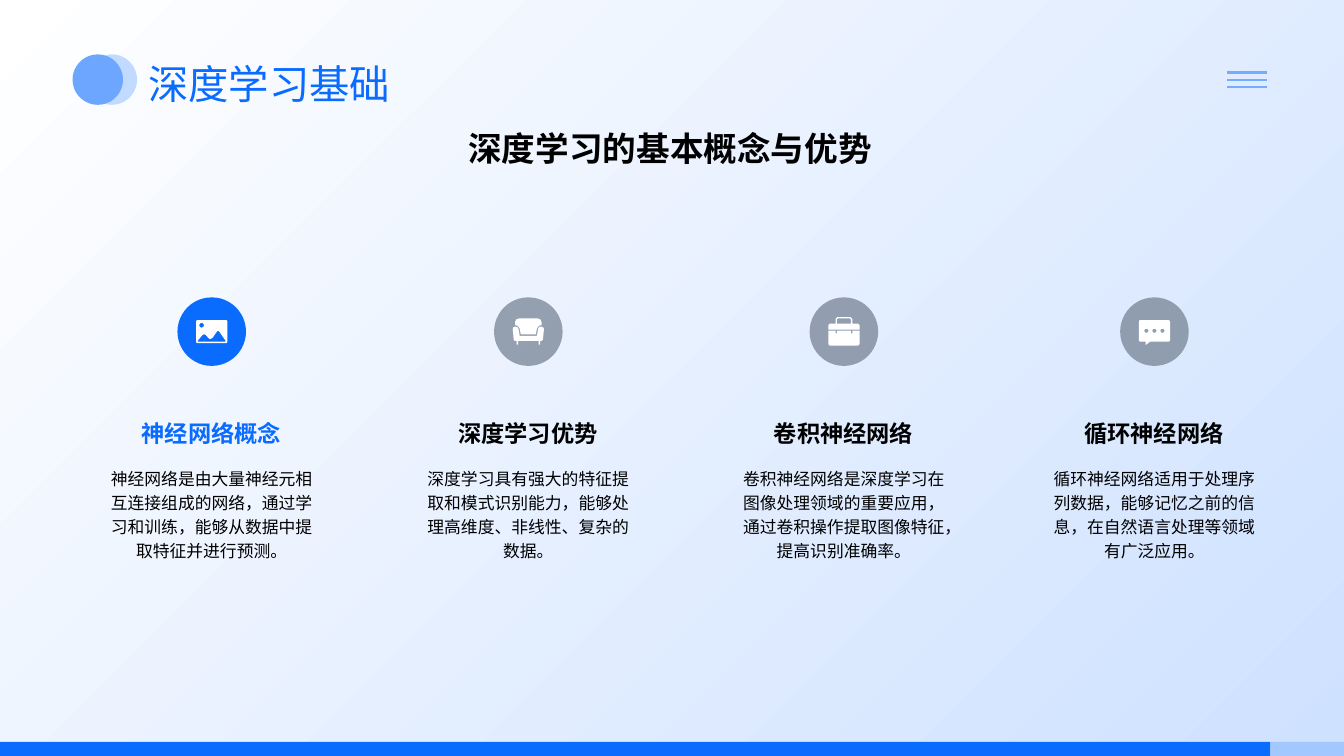
from math import cos, pi, sin

from lxml import etree
from pptx import Presentation
from pptx.dml.color import RGBColor
from pptx.enum.shapes import MSO_CONNECTOR, MSO_SHAPE
from pptx.enum.text import MSO_ANCHOR, MSO_AUTO_SIZE, PP_ALIGN
from pptx.oxml.ns import qn
from pptx.util import Inches, Pt

LINE, OVAL, RECT = MSO_CONNECTOR.STRAIGHT, MSO_SHAPE.OVAL, MSO_SHAPE.RECTANGLE
TOP, BOTTOM = MSO_ANCHOR.TOP, MSO_ANCHOR.BOTTOM
LEFT, CENTER = PP_ALIGN.LEFT, PP_ALIGN.CENTER
FONT = "Open Sans"

BLUE = RGBColor(0x0A, 0x6B, 0xFF)
MID_BLUE = RGBColor(0x6C, 0xA6, 0xFF)
PALE_BLUE = RGBColor(0xC1, 0xDA, 0xFF)
BAR_END = RGBColor(0xA3, 0xC8, 0xFF)
MENU_BLUE = RGBColor(0x74, 0xAC, 0xFF)
BACK_END = RGBColor(0xCE, 0xE1, 0xFF)
GRAY = RGBColor(0x77, 0x84, 0x95)
WHITE = RGBColor(0xFF, 0xFF, 0xFF)
BLACK = RGBColor(0, 0, 0)

# Content: centre x, heading, body, icon
TITLE = "深度学习基础"
SUBTITLE = "深度学习的基本概念与优势"
COLUMNS = [
    (2.1, "神经网络概念",
     "神经网络是由大量神经元相互连接组成的网络，通过学习和训练，能够从数据中提取特征并进行预测。", "picture"),
    (5.24, "深度学习优势",
     "深度学习具有强大的特征提取和模式识别能力，能够处理高维度、非线性、复杂的数据。", "sofa"),
    (8.37, "卷积神经网络",
     "卷积神经网络是深度学习在图像处理领域的重要应用，通过卷积操作提取图像特征，提高识别准确率。", "case"),
    (11.45, "循环神经网络",
     "循环神经网络适用于处理序列数据，能够记忆之前的信息，在自然语言处理等领域有广泛应用。", "chat"),
]
ICON_Y, CIRCLE = 3.29, 0.68


def rounded(left, top, right, bottom, radius):
    """Outline of a rounded rectangle, clockwise from its lower right corner."""
    corners = [(right - radius, bottom - radius), (left + radius, bottom - radius),
               (left + radius, top + radius), (right - radius, top + radius)]
    return [(x + radius * cos(a), y + radius * sin(a))
            for q, (x, y) in enumerate(corners)
            for a in [(q + step / 6) * pi / 2 for step in range(7)]]


def dot(x, y, radius):
    return rounded(x - radius, y - radius, x + radius, y + radius, radius)


# Icon outlines in hundredths of an inch from the circle's centre; inner ones are holes
ICONS = {
    "picture": [
        rounded(-15.5, -11.5, 15.5, 11.5, 1.6),
        [(7.2, -0.4), (5.6, -0.6), (0.5, 6.6), (-1.5, 7.3), (-3, 6.8), (-6, 3.2),
         (-7.5, 2.6), (-9, 3.2), (-14.2, 9.3), (-13.8, 10), (13.3, 10), (14, 9.3)],
        dot(-10, -6.3, 2.3)],
    "sofa": [
        [(13, -5), (15, -4), (15.5, -2.5), (14.5, 8), (13.5, 9.2), (11.7, 9.2),
         (11.7, 13), (10.2, 13), (10.2, 9.2), (-10.2, 9.2), (-10.2, 13), (-11.7, 13),
         (-11.7, 9.2), (-13.5, 9.2), (-14.5, 8), (-15.5, -2.5), (-15, -4), (-13, -5),
         (-11, -4.5), (-9.8, -3), (-8.5, 4.2), (8.5, 4.2), (9.8, -3), (11, -4.5)],
        [(9.5, -13), (12, -12), (13.2, -9.3), (13.2, -6.5), (10.5, -5.7), (8.6, -3.2),
         (7.5, 2.7), (-7.5, 2.7), (-8.6, -3.2), (-10.5, -5.7), (-13.2, -6.5),
         (-13.2, -9.3), (-12, -12), (-9.5, -13)]],
    "case": [
        [(-15.5, -0.8), (-8.3, -0.8), (-8.3, 1.8), (-7, 1.8), (-7, -0.8), (7, -0.8),
         (7, 1.8), (8.3, 1.8), (8.3, -0.8), (15.5, -0.8), (15.5, 12.4), (14, 13.9),
         (-14, 13.9), (-15.5, 12.4)],
        [(-15.5, -2), (-15.5, -6.3), (-14, -7.8), (-8.3, -7.8), (-8.3, -12.5),
         (-6.5, -14.3), (6.5, -14.3), (8.3, -12.5), (8.3, -7.8), (14, -7.8),
         (15.5, -6.3), (15.5, -2)],
        [(-7, -7.8), (-7, -12.2), (-6, -13), (6, -13), (7, -12.2), (7, -7.8)]],
    "chat": [
        rounded(-15.5, -11.4, 15.5, 10, 1.8),
        [(-8.8, 10), (-4.2, 10), (-8.8, 13.4)],
        *[dot(x, -0.8, 2) for x in (-8, 0, 8)]],
}

prs = Presentation()
prs.slide_width, prs.slide_height = Inches(13.33), Inches(7.5)
s = prs.slides.add_slide(prs.slide_layouts[5])


def paint(sp, color):
    sp.shadow.inherit = False
    sp.fill.solid()
    sp.fill.fore_color.rgb = color
    sp.line.fill.background()


def add_block(kind, left, top, width, height, color):
    sp = s.shapes.add_shape(kind, Inches(left), Inches(top), Inches(width), Inches(height))
    paint(sp, color)
    return sp


def write(sp, text, size, color, bold=False, align=CENTER, anchor=TOP, spacing=1.0):
    tf = sp.text_frame
    tf.word_wrap, tf.auto_size, tf.vertical_anchor = True, MSO_AUTO_SIZE.NONE, anchor
    p = tf.paragraphs[0]
    p.alignment, p.line_spacing = align, spacing
    r = p.add_run()
    r.text = text
    r.font.size, r.font.name, r.font.bold = Pt(size), FONT, bold
    r.font.color.rgb = color


def add_text(left, top, width, height, *args, **kwargs):
    sp = s.shapes.add_textbox(Inches(left), Inches(top), Inches(width), Inches(height))
    write(sp, *args, **kwargs)


def add_icon(outlines, x, y):
    scaled = [[(Inches(px / 100), Inches(py / 100)) for px, py in o] for o in outlines]
    builder = s.shapes.build_freeform(*scaled[0][0], scale=1.0)
    builder.add_line_segments(scaled[0][1:], close=True)
    for outline in scaled[1:]:
        builder.move_to(*outline[0])
        builder.add_line_segments(outline[1:], close=True)
    paint(builder.convert_to_shape(Inches(x), Inches(y)), WHITE)


# Background
fill = s.background.fill
fill.gradient()
fill.gradient_angle = 315
for stop, color in zip(fill.gradient_stops, (WHITE, BACK_END)):
    stop.color.rgb = color

# Title discs, bottom bar and menu lines
add_block(OVAL, 0.86, 0.54, 0.5, 0.5, PALE_BLUE)
add_block(OVAL, 0.72, 0.54, 0.5, 0.5, MID_BLUE)
add_block(RECT, 0, 7.36, 12.6, 0.14, BLUE)
add_block(RECT, 12.6, 7.36, 0.73, 0.14, BAR_END)
for i in range(3):
    y = Inches(0.72 + 0.07 * i)
    line = s.shapes.add_connector(LINE, Inches(12.17), y, Inches(12.57), y)
    line.line.color.rgb, line.line.width = MENU_BLUE, Pt(1.5)
    etree.SubElement(line._element.spPr, qn("a:effectLst"))

# Title and subtitle
title = s.shapes.title
title.left, title.top, title.width, title.height = map(Inches, (1.37, 0.14, 11.23, 0.98))
write(title, TITLE, 28.8, BLUE, align=LEFT, anchor=BOTTOM)
add_text(0.72, 1.22, 11.85, 1.41, SUBTITLE, 24, BLACK, bold=True)

# Four columns, the first one highlighted
for i, (x, heading, body, icon) in enumerate(COLUMNS):
    add_text(x - 1.02, 3.89, 2.03, 0.6, heading, 16.6, BLACK if i else BLUE,
             bold=True, anchor=BOTTOM)
    add_text(x - 1.13, 4.56, 2.26, 1.41, body, 12, BLACK, spacing=1.2)
    disc = add_block(OVAL, x - CIRCLE / 2, ICON_Y - CIRCLE / 2, CIRCLE, CIRCLE,
                     GRAY if i else BLUE)
    if i:
        color = disc._element.spPr.find(qn("a:solidFill"))[0]
        etree.SubElement(color, qn("a:alpha"), val="75000")
    add_icon(ICONS[icon], x, ICON_Y)

prs.save("out.pptx")
